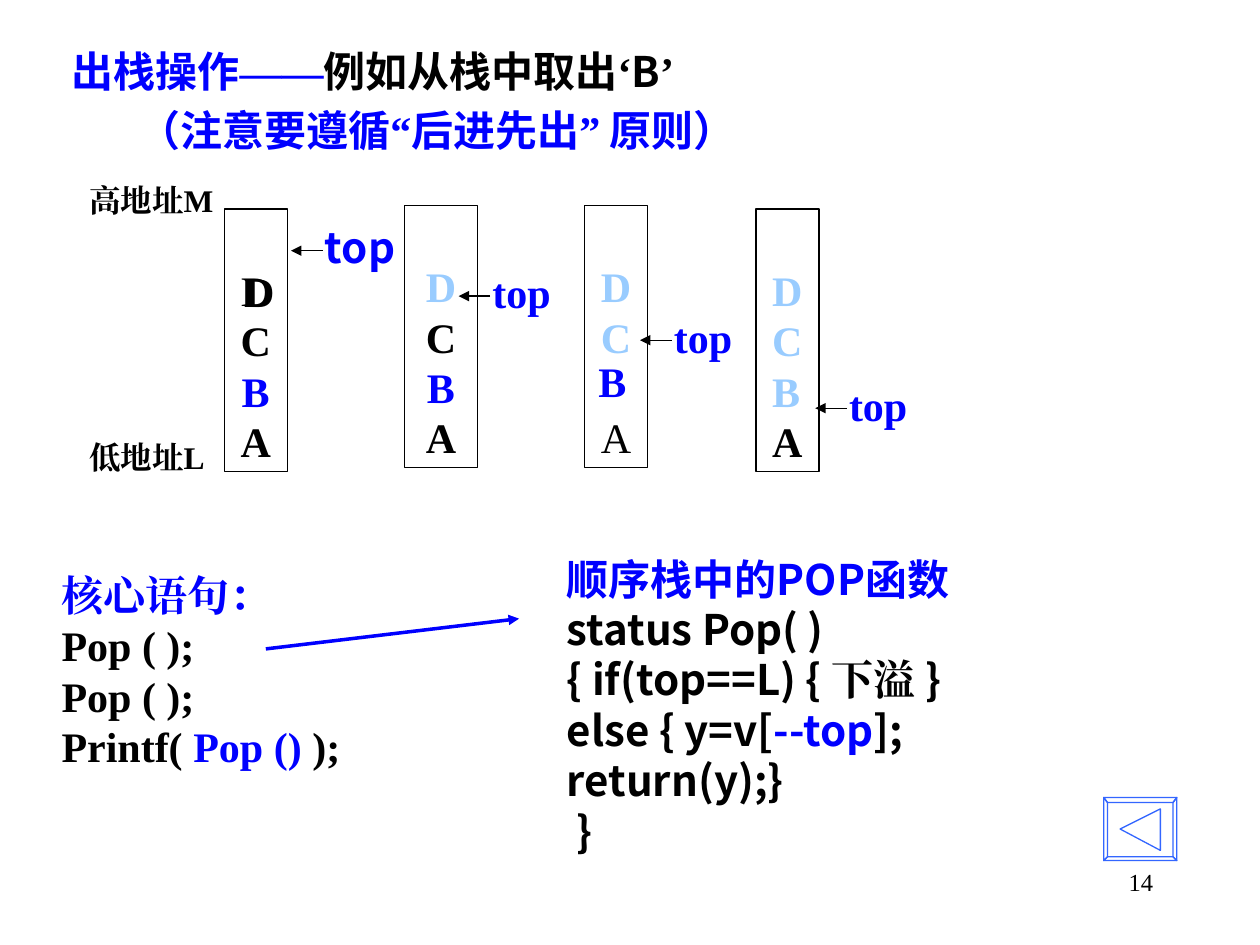
"""Build the slide on popping an element from a sequential stack."""
import pptx
import pptx.dml.color
import pptx.enum.shapes
import pptx.enum.text
import pptx.oxml
import pptx.oxml.ns
import pptx.util

Inches = pptx.util.Inches
Pt = pptx.util.Pt
RGBColor = pptx.dml.color.RGBColor
ALIGN = pptx.enum.text.PP_ALIGN
ANCHOR = pptx.enum.text.MSO_ANCHOR
qn = pptx.oxml.ns.qn
BLACK = RGBColor(0x00, 0x00, 0x00)
BLUE = RGBColor(0x00, 0x00, 0xFF)
PALE = RGBColor(0x99, 0xCC, 0xFF)
BUTTON_BLUE = RGBColor(0x33, 0x66, 0xFF)
SERIF = "Times New Roman"
SANS = "Noto Sans CJK SC"

presentation = pptx.Presentation()
presentation.slide_width = Inches(10)
presentation.slide_height = Inches(7.5)
slide = presentation.slides.add_slide(presentation.slide_layouts[6])
shapes = slide.shapes


def write(frame, lines, size=24, wrap=False, align=ALIGN.LEFT, anchor=ANCHOR.TOP):
    frame_format = {"word_wrap": wrap, "vertical_anchor": anchor}
    for key, value in frame_format.items():
        setattr(frame, key, value)
    for index, line in enumerate(lines):
        paragraph = frame.paragraphs[0] if index == 0 else frame.add_paragraph()
        paragraph.alignment = align
        paragraph.line_spacing = Pt(1.2 * size)
        for text, color, face, bold in line:
            run = paragraph.add_run()
            run.text = text
            run.font.color.rgb = color
            for key, value in {"name": face, "size": Pt(size), "bold": bold}.items():
                setattr(run.font, key, value)
            east_asian = pptx.oxml.parse_xml(
                '<a:ea xmlns:a="http://schemas.openxmlformats.org/drawingml/2006/main"'
                f' typeface="{face}"/>')
            run.font._element.find(qn("a:latin")).addnext(east_asian)


def arrow(start, end, color, width):
    line = shapes.add_connector(
        pptx.enum.shapes.MSO_CONNECTOR.STRAIGHT, *map(Inches, start + end))
    line.line.color.rgb = color
    line.line.width = Pt(width)
    tail = line.line._get_or_add_ln().makeelement(qn("a:tailEnd"), {"type": "triangle"})
    line.line._get_or_add_ln().append(tail)
    properties = line._element.spPr
    properties.append(properties.makeelement(qn("a:effectLst"), {}))


title_lines = [
    [("出栈操作", BLUE, SANS, True), ("——", BLUE, SERIF, True),
     ("例如从栈中取出", BLACK, SANS, True), ("‘", BLACK, SERIF, True),
     ("B", BLACK, SANS, True), ("’", BLACK, SERIF, True)],
    [("（注意要遵循", BLUE, SANS, True), ("“", BLUE, SERIF, True),
     ("后进先出", BLUE, SANS, True), ("”", BLUE, SERIF, True),
     (" 原则）", BLUE, SANS, True)],
]
title = shapes.add_textbox(Inches(0.39), Inches(0.29), Inches(8.5), Inches(1.01))
write(title.text_frame, title_lines, wrap=True, anchor=ANCHOR.MIDDLE)
for paragraph, indent in zip(title.text_frame.paragraphs, (0.08, 0.61)):
    paragraph._p.get_or_add_pPr().set("marL", str(Inches(indent)))
title.text_frame.paragraphs[1].space_before = Pt(5)

stacks = [
    (1.78, 1.66, 0.5, [("D", BLACK, False), ("C", BLACK, True),
                       ("B", BLUE, True), ("A", BLACK, True)]),
    (3.21, 1.63, 0.58, [("D", PALE, True), ("C", BLACK, True),
                        ("B", BLUE, True), ("A", BLACK, True)]),
    (4.64, 1.63, 0.5, [("D", PALE, True), ("C", PALE, True), ("A", BLACK, False)]),
    (6, 1.66, 0.5, []),
]
for left, top, width, items in stacks:
    stack = shapes.add_shape(
        pptx.enum.shapes.MSO_SHAPE.RECTANGLE,
        Inches(left), Inches(top), Inches(width), Inches(2.08))
    stack.shadow.inherit = False
    stack.fill.background()
    stack.line.color.rgb = BLACK
    stack.line.width = Pt(0.75)
    stack.text_frame.margin_bottom = Inches(0.04)
    write(stack.text_frame, [[(text, color, SERIF, bold)] for text, color, bold in items],
          align=ALIGN.CENTER, anchor=ANCHOR.BOTTOM)
    if len(items) == 3:
        stack.text_frame.paragraphs[2].space_before = Pt(28.8)

for tip, level, face in [(2.31, 1.99, SANS), (3.64, 2.35, SERIF),
                         (5.08, 2.7, SERIF), (6.47, 3.24, SERIF)]:
    arrow((tip + 0.25, level), (tip, level), BLACK, 0.75)
    pointer = shapes.add_textbox(
        Inches(tip + 0.17), Inches(level - 0.28),
        Inches(0.76 if face == SANS else 0.66), Inches(0.5))
    write(pointer.text_frame, [[("top", BLUE, face, True)]])

last_stack = [[(letter, PALE, SERIF, True)] for letter in "DCB"]
last_stack.append([("A", BLACK, SERIF, True)])
core_statements = [
    [("核心语句：", BLUE, SERIF, True)],
    [("Pop ( );", BLACK, SERIF, True)],
    [("Pop ( );", BLACK, SERIF, True)],
    [("Printf( ", BLACK, SERIF, True), ("Pop ()", BLUE, SERIF, True),
     (" );", BLACK, SERIF, True)],
]
pop_function = [
    [("顺序栈中的POP函数", BLUE, SANS, True)],
    [("status Pop( )", BLACK, SANS, True)],
    [("{ if(top==L) { ", BLACK, SANS, True), ("下溢 ", BLACK, SERIF, True),
     ("}", BLACK, SANS, True)],
    [("else { y=v[", BLACK, SANS, True), ("--top", BLUE, SANS, True),
     ("];", BLACK, SANS, True)],
    [("return(y);}", BLACK, SANS, True)],
    [(" }", BLACK, SANS, True)],
]
texts = [
    (6.03, 2.05, 0.44, 1.7, last_stack, 24, False, ALIGN.LEFT),
    (4.65, 2.77, 0.42, 0.5, [[("B", BLUE, SERIF, True)]], 24, False, ALIGN.LEFT),
    (1.84, 2.06, 0.44, 0.5, [[("D", BLACK, SERIF, True)]], 24, False, ALIGN.LEFT),
    (0.61, 1.39, 1.24, 0.4, [[("高地址M", BLACK, SERIF, True)]], 18, False, ALIGN.LEFT),
    (0.61, 3.43, 1.17, 0.4, [[("低地址L", BLACK, SERIF, True)]], 18, False, ALIGN.LEFT),
    (0.39, 4.47, 2.84, 2.1, core_statements, 24, True, ALIGN.LEFT),
    (4.4, 4.34, 3.58, 2.5, pop_function, 24, True, ALIGN.LEFT),
    (7.17, 6.83, 2.08, 0.5, [[("14", BLACK, SERIF, False)]], 14, True, ALIGN.RIGHT),
]
for left, top, width, height, lines, size, wrap, align in texts:
    box = shapes.add_textbox(Inches(left), Inches(top), Inches(width), Inches(height))
    write(box.text_frame, lines, size, wrap, align)

arrow((2.11, 5.15), (4.12, 4.91), BLUE, 2)

outer = [(8.76, 6.33), (9.34, 6.33), (9.34, 6.83), (8.76, 6.83)]
inner = [(8.79, 6.37), (9.31, 6.37), (9.31, 6.8), (8.79, 6.8)]
bevels = [[outer[side], outer[(side + 1) % 4], inner[(side + 1) % 4], inner[side]]
          for side in range(4)]
back_triangle = [(9.21, 6.42), (8.89, 6.58), (9.21, 6.75)]
builder = shapes.build_freeform(*map(Inches, outer[0]))
builder.add_line_segments([tuple(map(Inches, point)) for point in outer[1:]], close=True)
for contour in bevels + [back_triangle]:
    builder.move_to(*map(Inches, contour[0]))
    builder.add_line_segments([tuple(map(Inches, point)) for point in contour[1:]], close=True)
back_button = builder.convert_to_shape()
back_button.shadow.inherit = False
back_button.fill.background()
back_button.line.color.rgb = BUTTON_BLUE
back_button.line.width = Pt(0.75)

presentation.save("out.pptx")
